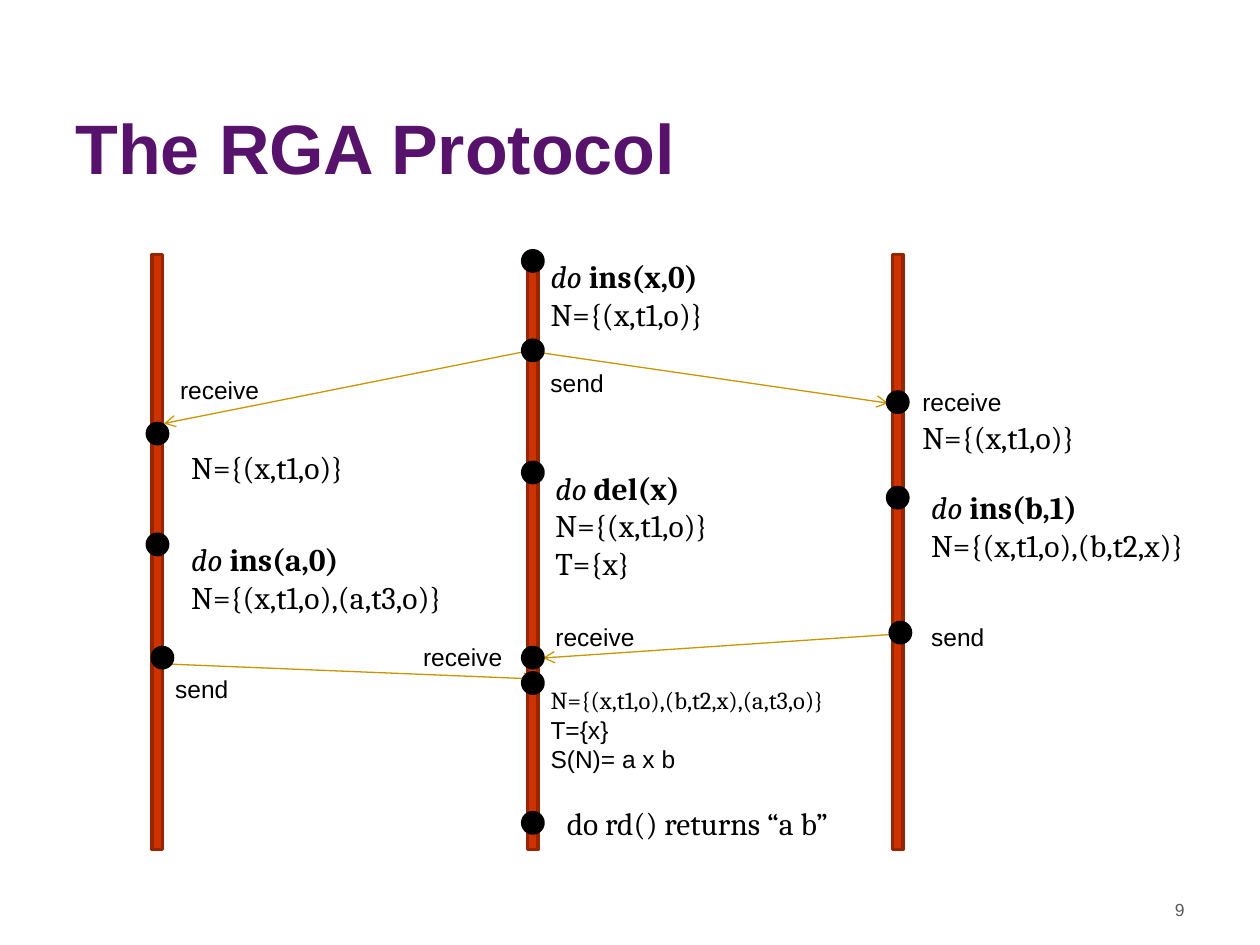
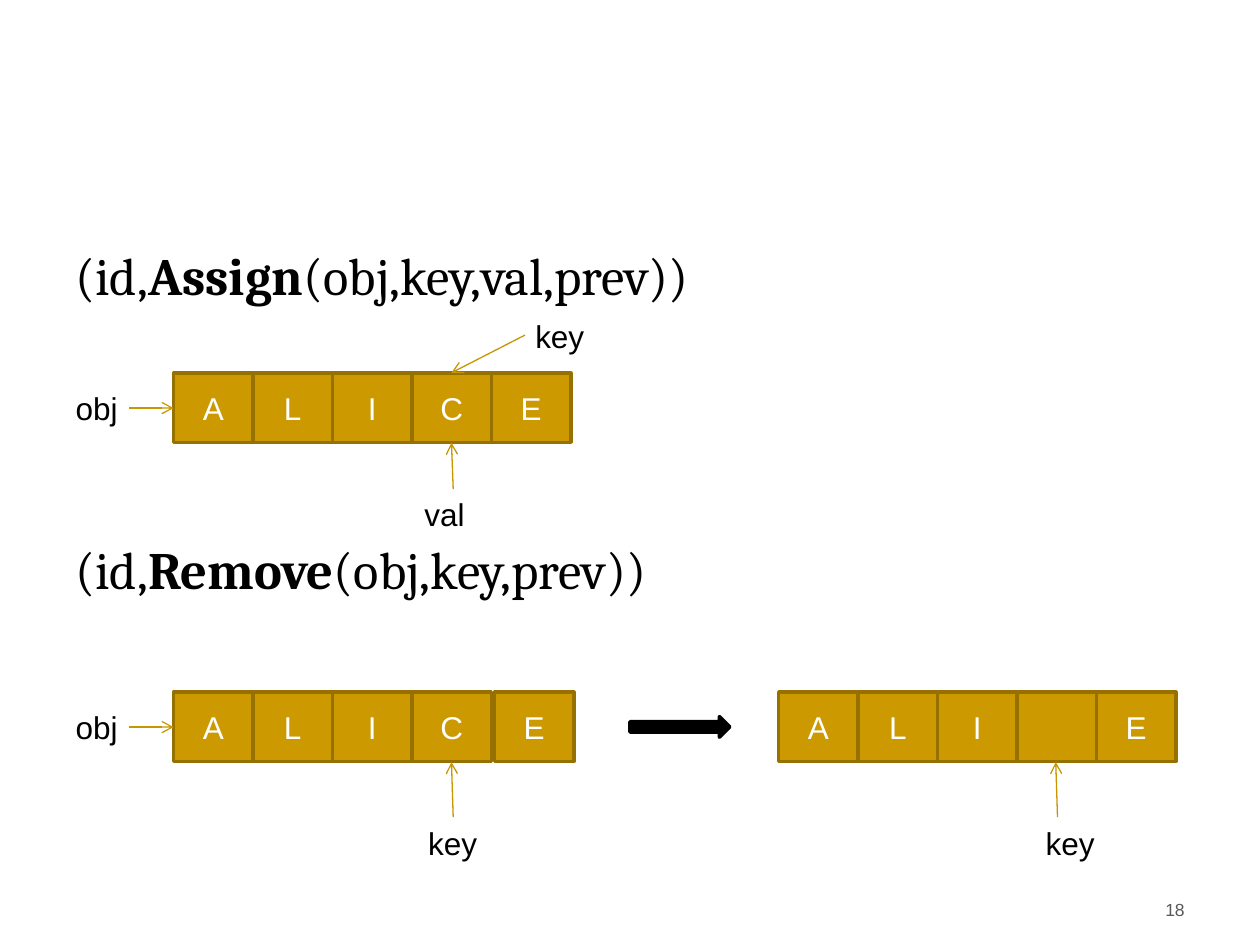
import pptx
import pptx.dml.color
import pptx.enum.shapes
import pptx.enum.text
import pptx.oxml.ns
import pptx.util
from lxml import etree

Pt = pptx.util.Pt
rgb = pptx.dml.color.RGBColor.from_string
PRESET = pptx.enum.shapes.MSO_SHAPE
ALIGN = pptx.enum.text.PP_ALIGN
ANCHOR = pptx.enum.text.MSO_ANCHOR
qn = pptx.oxml.ns.qn

# Shared look
BLACK, WHITE, GREY, PURPLE = "000000", "FFFFFF", "595959", "57126C"
RED, DARK_RED = "CC3300", "972600"
GOLD, DARK_GOLD, ARROW_GOLD = "CC9900", "977100", "C89600"
SANS, SERIF = "Arial", "Cambria"


def write(frame, paragraphs, size=18, font=SANS, color=BLACK, bold=False,
          align=ALIGN.LEFT, anchor=ANCHOR.TOP, gap=0):
    """Fill a frame; a paragraph is a string or a list of (text, overrides)."""
    frame.word_wrap = True
    frame.vertical_anchor = anchor
    for number, runs in enumerate(paragraphs):
        paragraph = frame.paragraphs[0] if number == 0 else frame.add_paragraph()
        paragraph.alignment = align
        if number and gap:
            paragraph.space_before = Pt(gap)
        for text, changes in [(runs, {})] if isinstance(runs, str) else runs:
            run = paragraph.add_run()
            run.text = text
            run.font.size = Pt(size)
            run.font.name = changes.get("font", font)
            run.font.bold = changes.get("bold", bold)
            run.font.italic = changes.get("italic", False)
            run.font.color.rgb = rgb(color)


def draw(slide, preset, left, top, width, height, fill, outline):
    shape = slide.shapes.add_shape(preset, Pt(left), Pt(top), Pt(width), Pt(height))
    shape.shadow.inherit = False
    shape.fill.solid()
    shape.fill.fore_color.rgb = rgb(fill)
    shape.line.color.rgb = rgb(outline)
    shape.line.width = Pt(2)
    return shape


deck = pptx.Presentation()
deck.slide_width, deck.slide_height = Pt(720), Pt(540)
protocol = deck.slides.add_slide(deck.slide_layouts[6])
operations = deck.slides.add_slide(deck.slide_layouts[6])

# Page numbers
for slide, page in ((protocol, "9"), (operations, "18")):
    footer = slide.shapes.add_textbox(Pt(516), Pt(510), Pt(168), Pt(28))
    write(footer.text_frame, [page], size=10, color=GREY, align=ALIGN.RIGHT)

# Title
title = protocol.shapes.add_textbox(Pt(36), Pt(9.5), Pt(594), Pt(102))
write(title.text_frame, ["The RGA Protocol"], size=40, color=PURPLE, bold=True,
      anchor=ANCHOR.BOTTOM)

# Replica timelines
LEFT, MIDDLE, RIGHT = 90, 304.5, 513
for center in (LEFT, MIDDLE, RIGHT):
    draw(protocol, PRESET.RECTANGLE, center - 3, 145.5, 6, 340, RED, DARK_RED)

# Operation signatures
signatures = operations.shapes.add_textbox(Pt(36), Pt(135.5), Pt(648), Pt(371.5))
write(signatures.text_frame, [
    [("(id,", {}), ("Assign", {"bold": True}), ("(obj,key,val,prev))", {})],
    [("(id,", {}), ("Remove", {"bold": True}), ("(obj,key,prev))", {})],
], size=30, font=SERIF, gap=132)

# Letter lists: left, top, letters, shift of the last cell
CELL_WIDTH, CELL_HEIGHT = 45.4, 39.6
for left, top, letters, last_shift in (
    (99.2, 213.2, "ALICE", 0),
    (99.2, 395.5, "ALICE", 1.8),
    (445, 395.5, "ALI E", 0),
):
    for column, letter in enumerate(letters):
        shift = last_shift if column == len(letters) - 1 else 0
        cell = draw(operations, PRESET.RECTANGLE, left + column * CELL_WIDTH + shift,
                    top, CELL_WIDTH, CELL_HEIGHT, GOLD, DARK_GOLD)
        if letter != " ":
            write(cell.text_frame, [letter], color=WHITE, align=ALIGN.CENTER,
                  anchor=ANCHOR.MIDDLE)
draw(operations, PRESET.RIGHT_ARROW, 360, 409.5, 57, 11.8, BLACK, BLACK)

# Messages between replicas, and pointers into the lists
messages = [
    (MIDDLE, 200, 93.6, 242), (305, 201, 507.6, 230.4),
    (96.5, 379.5, 306, 388), (509, 362.6, 310.3, 376),
]
pointers = [
    (300, 191.5, 258, 213), (259, 279.5, 258, 253),
    (259, 467, 258, 435.5), (604.3, 467, 603.3, 435.5),
    (74, 233.2, 99.2, 233.2), (74, 415.5, 99.2, 415.5),
]
for slide, ends in ((protocol, messages), (operations, pointers)):
    for points in ends:
        arrow = slide.shapes.add_connector(
            pptx.enum.shapes.MSO_CONNECTOR.STRAIGHT, *map(Pt, points))
        arrow.line.color.rgb = rgb(ARROW_GOLD)
        arrow.line.width = Pt(0.75)
        properties = arrow.element.spPr
        etree.SubElement(properties.find(qn("a:ln")), qn("a:tailEnd"), type="arrow")
        etree.SubElement(properties, qn("a:effectLst"))

# Events on the timelines: center, top
DOT = 11.6
for center, top in (
    (LEFT, 242), (LEFT, 305.3), (LEFT + 2.8, 370),
    (MIDDLE, 143.3), (MIDDLE, 194.4), (MIDDLE, 264.2),
    (MIDDLE, 384.5), (MIDDLE, 370), (MIDDLE, 464.4),
    (RIGHT, 224), (RIGHT, 278.6), (RIGHT + 1.5, 355.7),
):
    draw(protocol, PRESET.OVAL, center - DOT / 2, top, DOT, DOT, BLACK, BLACK)

# Send and receive labels
for left, top, event in (
    (307.5, 206.6, "send"), (525, 352, "send"), (93, 381.6, "send"),
    (95.8, 211, "receive"), (520, 217.4, "receive"),
    (310.3, 352, "receive"), (234.7, 363.6, "receive"),
):
    label = protocol.shapes.add_textbox(Pt(left), Pt(top), Pt(67), Pt(24.2))
    write(label.text_frame, [event], size=14)

# Operations and states: left, top, width, operation, state lines
for left, top, width, operation, state in (
    (307.5, 143.3, 120, "ins(x,0)", ["N={(x,t1,o)}"]),
    (102.2, 252.7, 102, "", ["N={(x,t1,o)}"]),
    (102.2, 305.3, 168, "ins(a,0)", ["N={(x,t1,o),(a,t3,o)}"]),
    (520, 235.4, 102, "", ["N={(x,t1,o)}"]),
    (525, 275.2, 168, "ins(b,1)", ["N={(x,t1,o),(b,t2,x)}"]),
    (310.3, 264.2, 120, "del(x)", ["N={(x,t1,o)}", "T={x}"]),
    (316.8, 456, 180, "", ["do rd() returns “a b”"]),
):
    heading = [[("do ", {"italic": True}), (operation, {"bold": True})]] if operation else []
    lines = heading + state
    note = protocol.shapes.add_textbox(Pt(left), Pt(top), Pt(width), Pt(7.2 + 21.8 * len(lines)))
    write(note.text_frame, lines, font=SERIF)

# Merged state
merged = protocol.shapes.add_textbox(Pt(307.5), Pt(388), Pt(187), Pt(80))
write(merged.text_frame, [
    [("N={(x,t1,o),(b,t2,x),(a,t3,o)}", {"font": SERIF})],
    "T={x}",
    "S(N)= a x b",
], size=14)

# Pointer labels
for left, top, width, name, align in (
    (298.8, 177.8, 61, "key", ALIGN.LEFT), (235.4, 279.4, 48, "val", ALIGN.LEFT),
    (228.2, 467.3, 61, "key", ALIGN.CENTER), (581, 467.3, 61, "key", ALIGN.CENTER),
    (22.3, 218.9, 52, "obj", ALIGN.RIGHT), (22.3, 401, 52, "obj", ALIGN.RIGHT),
):
    pointer = operations.shapes.add_textbox(Pt(left), Pt(top), Pt(width), Pt(29))
    write(pointer.text_frame, [name], align=align)

deck.save("out.pptx")
